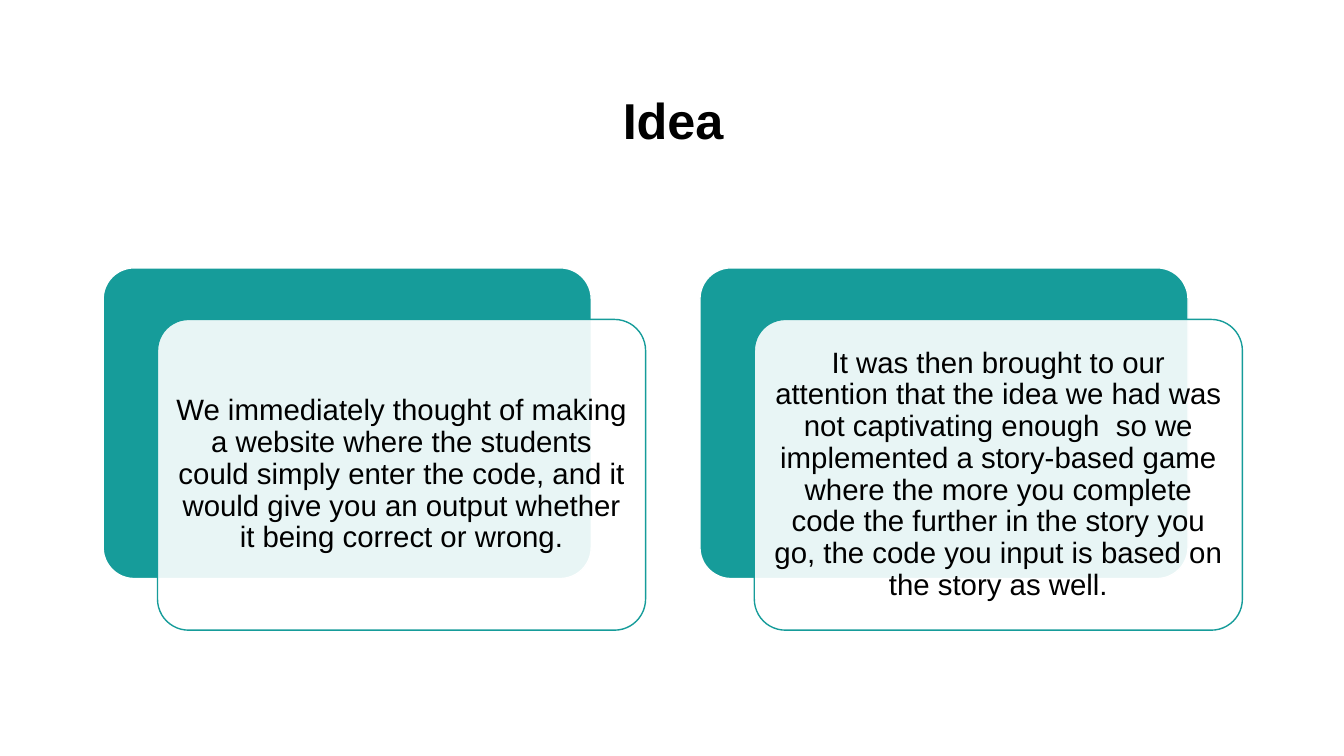
from pptx import Presentation
from pptx.dml.color import RGBColor
from pptx.enum.shapes import MSO_SHAPE as Shape
from pptx.enum.text import MSO_ANCHOR as Anchor, PP_ALIGN as Align
from pptx.oxml.ns import qn
from pptx.util import Cm, Pt
from lxml.etree import SubElement

TEAL, WHITE, BLACK = "169C9A", "FFFFFF", "000000"
IDEAS = [
    "We immediately thought of making a website where the students could "
    "simply enter the code, and it would give you an output whether it being "
    "correct or wrong.",
    "It was then brought to our attention that the idea we had was not "
    "captivating enough  so we implemented a story-based game where the more "
    "you complete code the further in the story you go, the code you input is "
    "based on the story as well.",
]


def paint(color, code):
    """Set a fill, line or font colour from a hex string."""
    if hasattr(color, "solid"):
        color.solid()
        color = color.fore_color
    else:
        color = color.color
    color.rgb = RGBColor.from_string(code)


def write(shape, text, size, bold=False):
    """Put one centred paragraph into a shape."""
    frame = shape.text_frame
    frame.word_wrap = True
    frame.vertical_anchor = Anchor.MIDDLE
    para = frame.paragraphs[0]
    para.text = text
    para.alignment = Align.CENTER
    para.line_spacing = 0.9
    para.font.name = "Arial"
    para.font.size = Pt(size)
    para.font.bold = bold
    paint(para.font, BLACK)
    return frame


prs = Presentation()
prs.slide_width, prs.slide_height = Cm(33.87), Cm(19.05)
slide = prs.slides.add_slide(prs.slide_layouts[6])

title = slide.shapes.add_textbox(Cm(4.24), Cm(1.52), Cm(25.45), Cm(4.67 - 1.52))
write(title, "Idea", 36, True)

left, top, wide, high = 2.6, 6.75, 12.3, 7.83
pitch, shift, drop = 15.04, 1.37, 1.3
for col, idea in enumerate(IDEAS):
    x = left + col * pitch
    back = slide.shapes.add_shape(
        Shape.ROUNDED_RECTANGLE, Cm(x), Cm(top), Cm(wide), Cm(high))
    card = slide.shapes.add_shape(
        Shape.ROUNDED_RECTANGLE, Cm(x + shift), Cm(top + drop), Cm(wide), Cm(high))
    for box, fill, line in ((back, TEAL, WHITE), (card, WHITE, TEAL)):
        box.adjustments[0] = 0.1
        box.shadow.inherit = False
        paint(box.fill, fill)
        paint(box.line, line)
        box.line.width = Pt(1)

    tint = card.fill._xPr.find(qn("a:solidFill"))[0]
    SubElement(tint, qn("a:alpha"), val="90000")
    frame = write(card, idea, 21)
    frame.margin_left = frame.margin_right = Cm(0.23)
    frame.margin_top = frame.margin_bottom = Cm(0.23)

prs.save("out.pptx")
